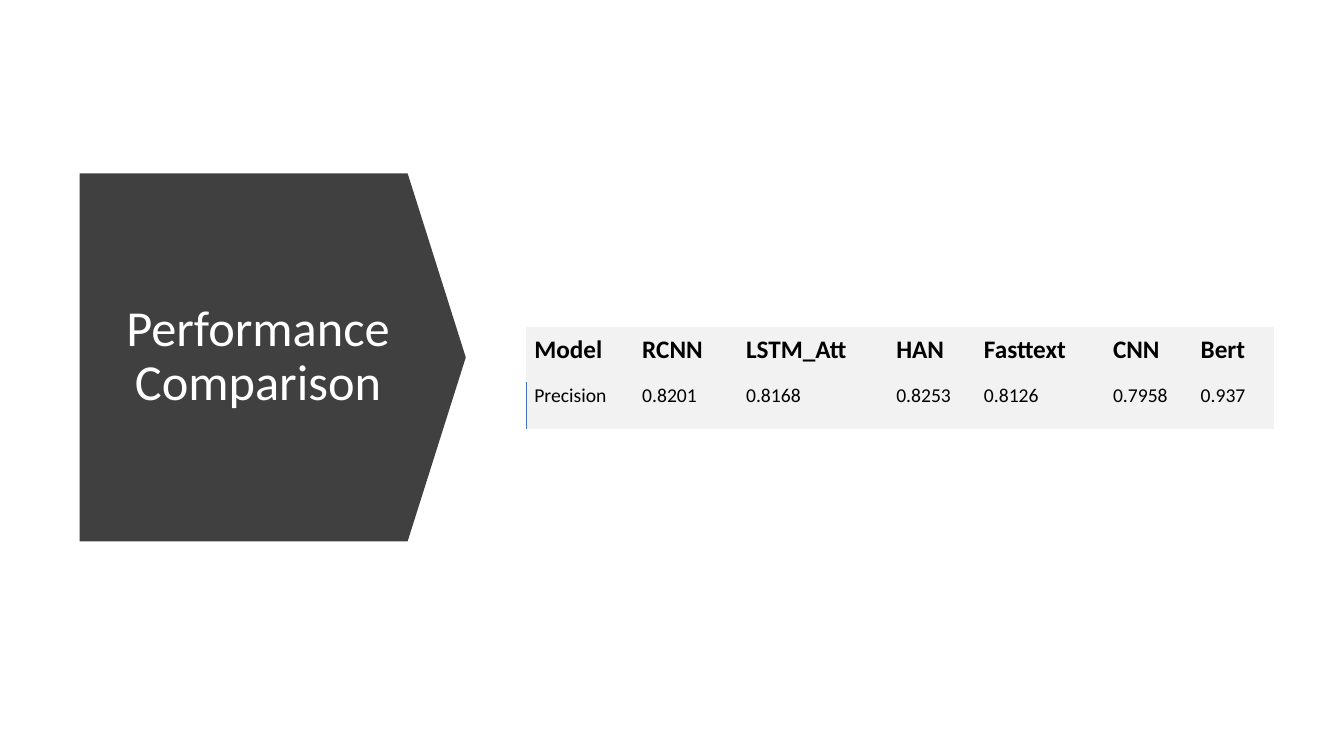
from lxml.etree import SubElement
from pptx import Presentation
from pptx.dml.color import RGBColor
from pptx.enum.shapes import MSO_SHAPE as Preset
from pptx.enum.text import MSO_ANCHOR as Anchor, MSO_AUTO_SIZE as AutoSize, PP_ALIGN as Align
from pptx.oxml.ns import qn
from pptx.util import Inches, Pt

WIDTH, HEIGHT = Inches(13.33), Inches(7.5)
COLORS = {"arrow": "404040", "title": "FFFFFF", "text": "000000",
          "cell": "F2F2F2", "accent": "4472C4"}
PLAIN_STYLE = "{2D5ABB26-0587-4C30-8999-92F81FD0307C}"
SCORES = {"Model": "Precision", "RCNN": "0.8201", "LSTM_Att": "0.8168",
          "HAN": "0.8253", "Fasttext": "0.8126", "CNN": "0.7958", "Bert": "0.937"}
MODEL_WIDTHS = (1.07, 1.03, 1.49, 0.87, 1.28, 0.87, 0.81)
ROW_HEIGHTS = (0.55, 0.47)


def rgb(name):
    """Return the named colour."""
    return RGBColor.from_string(COLORS[name])


def write(frame, text, size, color="text", bold=False, align=Align.LEFT, spacing=1.0):
    """Fill a text frame with one formatted paragraph."""
    paragraph = frame.paragraphs[0]
    paragraph.alignment = align
    paragraph.line_spacing = spacing
    run = paragraph.add_run()
    run.text = text
    run.font.name = "Calibri"
    run.font.size = Pt(size)
    run.font.bold = bold
    run.font.color.rgb = rgb(color)


def add_arrow(slide, left, top, width, height):
    """Add a full-shaft down arrow turned to point right."""
    arrow = slide.shapes.add_shape(Preset.DOWN_ARROW, left, top, width, height)
    arrow.rotation = 270
    arrow.adjustments[0] = 1
    arrow.adjustments[1] = 0.158
    arrow.shadow.inherit = False
    arrow.fill.solid()
    arrow.fill.fore_color.rgb = rgb("arrow")
    arrow.line.fill.background()
    return arrow


def place_title(slide, text, left, top, width, height):
    """Move the title placeholder and write the heading in it."""
    heading = slide.shapes.title
    heading.left, heading.top, heading.width, heading.height = left, top, width, height
    frame = heading.text_frame
    frame.word_wrap = True
    frame.auto_size = AutoSize.NONE
    frame.vertical_anchor = Anchor.MIDDLE
    write(frame, text, 36, "title", align=Align.CENTER, spacing=0.9)
    return heading


def mark_left_edge(cell):
    """Draw a thin accent border on the left side of a cell."""
    properties = cell._tc.get_or_add_tcPr()
    edge = SubElement(properties, qn("a:lnL"), w=str(Pt(1)))
    fill = SubElement(edge, qn("a:solidFill"))
    SubElement(fill, qn("a:srgbClr"), val=COLORS["accent"])
    properties.insert(0, edge)


def format_cell(cell, text, header):
    """Format one score cell or header cell."""
    cell.margin_left, cell.margin_top = Inches(0.08), Inches(0.02)
    cell.margin_right, cell.margin_bottom = Inches(0.06), Inches(0.17)
    cell.vertical_anchor = Anchor.BOTTOM if header else Anchor.TOP
    cell.fill.solid()
    cell.fill.fore_color.rgb = rgb("cell")
    write(cell.text_frame, text, 18 if header else 14, bold=header)


def add_scores(slide, left, top):
    """Add the table of model scores."""
    holder = slide.shapes.add_table(
        len(ROW_HEIGHTS), len(SCORES), left, top,
        Inches(sum(MODEL_WIDTHS)), Inches(sum(ROW_HEIGHTS)))
    scores = holder.table
    scores.horz_banding = False
    for style in holder.element.iter(qn("a:tableStyleId")):
        style.text = PLAIN_STYLE
    for column, width in zip(scores.columns, MODEL_WIDTHS):
        column.width = Inches(width)
    for row, height in zip(scores.rows, ROW_HEIGHTS):
        row.height = Inches(height)
    for row, texts in enumerate((SCORES.keys(), SCORES.values())):
        for column, text in enumerate(texts):
            format_cell(scores.cell(row, column), text, header=row == 0)
    mark_left_edge(scores.cell(1, 0))


def main():
    """Build and save the performance comparison slide."""
    deck = Presentation()
    deck.slide_width, deck.slide_height = WIDTH, HEIGHT
    slide = deck.slides.add_slide(deck.slide_layouts[5])
    arrow = add_arrow(slide, Inches(0.88), Inches(1.63), Inches(3.65), Inches(3.83))
    heading = place_title(slide, "Performance Comparison",
                          Inches(1.12), Inches(2.15), Inches(2.88), Inches(2.79))
    heading.element.addprevious(arrow.element)
    add_scores(slide, Inches(5.22), Inches(3.24))
    deck.save("out.pptx")


if __name__ == "__main__":
    main()
